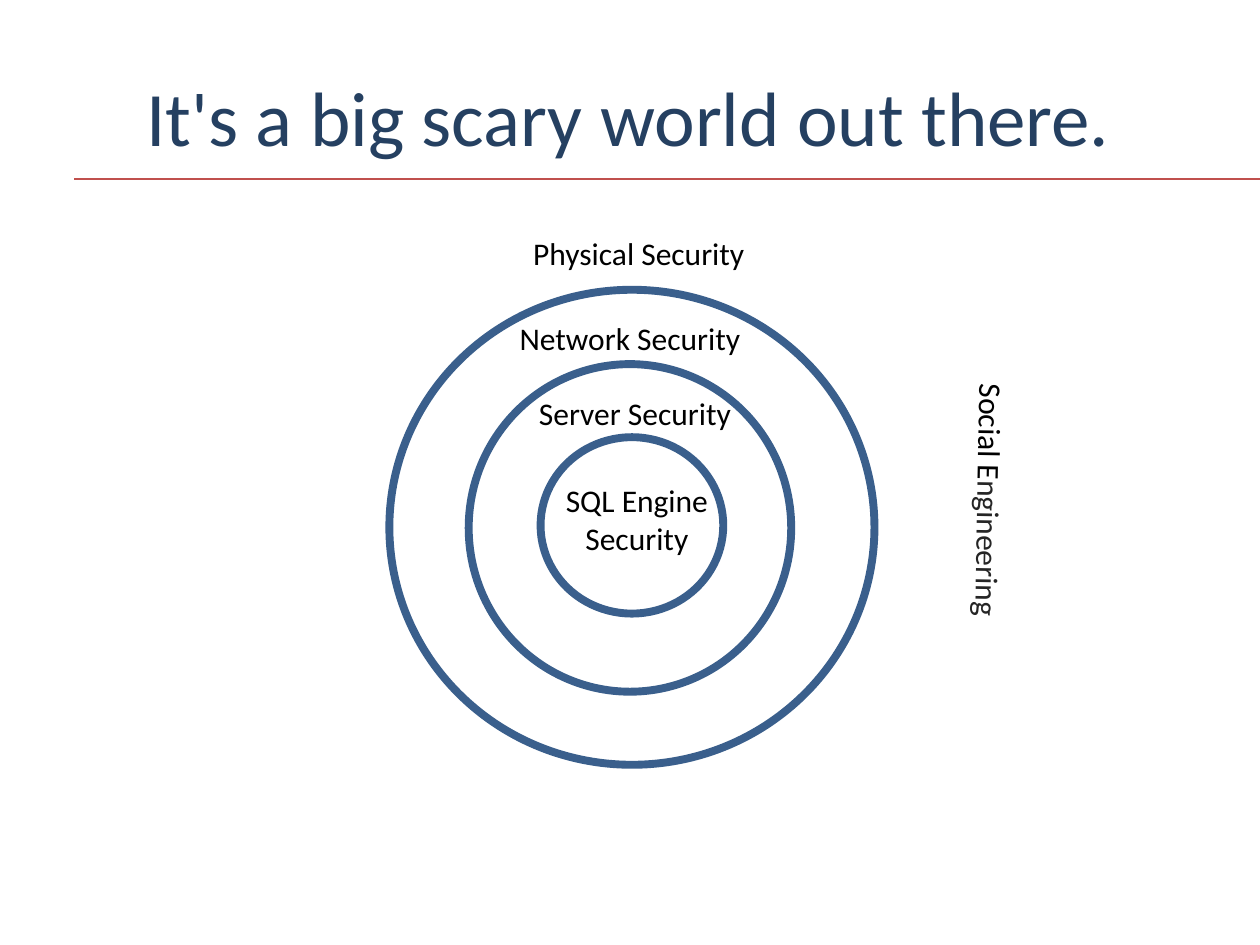
from pptx import Presentation
from pptx.dml.color import RGBColor as RGB
from pptx.enum.shapes import MSO_CONNECTOR as CONN, MSO_SHAPE as SHAPE
from pptx.enum.text import MSO_ANCHOR as ANCHOR, PP_ALIGN as ALIGN
from pptx.oxml.ns import qn
from pptx.util import Inches, Pt
from lxml.etree import SubElement


class Theme:
    font = "Calibri"
    title, text, faded = "254061", "000000", "252525"
    ring, rule, white = "3A5F8C", "C0504D", "FFFFFF"
    title_size, label_size = 44, 18
    ring_width, rule_width = 4.5, 1


TITLE = ("It's a big scary world out there.", (0.49, 0.29, 9, 1.25))
RULE = (0.59, 10, 1.42)
RINGS = [
    (3.09, 2.3, 3.85, 3.77),
    (3.72, 2.89, 2.56, 2.6),
    (4.29, 3.47, 1.45, 1.4),
]
LABELS = [
    ("Physical Security", (3.57, 1.81, 3, 0.4)),
    ("Network Security", (3.5, 2.48, 3, 0.4)),
    ("Server Security", (3.54, 3.08, 3, 0.4)),
    ("SQL Engine Security", (4.24, 3.77, 1.63, 0.71)),
]
SIDE_RUNS = [("Social E", Theme.text), ("ngineering", Theme.faded)]
SIDE_BOX, SIDE_ANGLE = (5.98, 3.77, 3.75, 0.4), 91


def add_rule(s, left, right, y):
    sp = s.shapes.add_connector(
        CONN.STRAIGHT, Inches(left), Inches(y), Inches(right), Inches(y))
    sp.line.color.rgb = RGB.from_string(Theme.rule)
    sp.line.width = Pt(Theme.rule_width)
    SubElement(sp._element.spPr, qn("a:effectLst"))


def add_ring(s, box):
    sp = s.shapes.add_shape(SHAPE.OVAL, *map(Inches, box))
    sp.shadow.inherit = False
    sp.fill.solid()
    sp.fill.fore_color.rgb = RGB.from_string(Theme.white)
    sp.line.color.rgb = RGB.from_string(Theme.ring)
    sp.line.width = Pt(Theme.ring_width)


def add_text(s, box, runs, size=Theme.label_size, anchor=ANCHOR.TOP):
    sp = s.shapes.add_textbox(*map(Inches, box))
    tf = sp.text_frame
    tf.word_wrap = True
    tf.vertical_anchor = anchor
    p = tf.paragraphs[0]
    p.alignment = ALIGN.CENTER
    for text, color in runs:
        r = p.add_run()
        r.text = text
        r.font.name = Theme.font
        r.font.size = Pt(size)
        r.font.color.rgb = RGB.from_string(color)
    return sp


def main():
    """Build the slide of nested security layers."""
    prs = Presentation()
    prs.slide_width, prs.slide_height = Inches(10), Inches(7.5)
    s = prs.slides.add_slide(prs.slide_layouts[6])
    add_rule(s, *RULE)
    title, box = TITLE
    add_text(s, box, [(title, Theme.title)], Theme.title_size, ANCHOR.MIDDLE)
    for box in RINGS:
        add_ring(s, box)
    for text, box in LABELS:
        add_text(s, box, [(text, Theme.text)])
    add_text(s, SIDE_BOX, SIDE_RUNS).rotation = SIDE_ANGLE
    prs.save("out.pptx")


if __name__ == "__main__":
    main()
